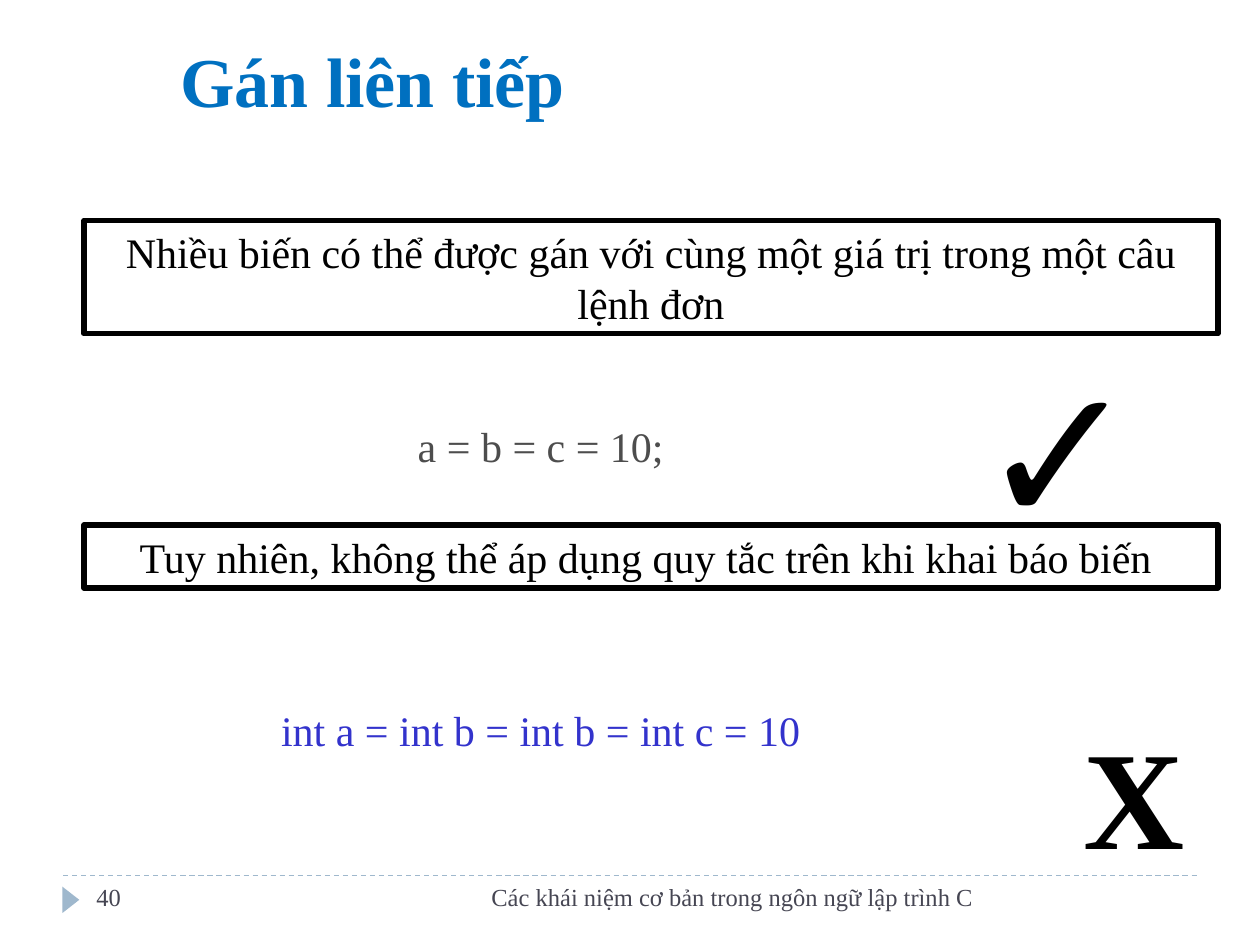
from lxml.etree import SubElement
from pptx import Presentation
from pptx.dml.color import RGBColor
from pptx.enum.dml import MSO_LINE
from pptx.enum.shapes import MSO_CONNECTOR, MSO_SHAPE
from pptx.enum.text import MSO_ANCHOR, PP_ALIGN
from pptx.oxml.ns import qn
from pptx.util import Inches, Pt

COLUMNS, ROWS = 120, 90
BLACK = RGBColor(0x00, 0x00, 0x00)
TITLE_BLUE = RGBColor(0x00, 0x70, 0xC0)
CODE_GREY = RGBColor(0x4D, 0x4D, 0x4D)
CODE_BLUE = RGBColor(0x33, 0x33, 0xCC)
FOOTER_GREY = RGBColor(0x46, 0x46, 0x53)
ACCENT = RGBColor(0x9F, 0xB8, 0xCD)
SERIF = "Times New Roman"

presentation = Presentation()
presentation.slide_width = Inches(10)
presentation.slide_height = Inches(7.5)
COLUMN = presentation.slide_width / COLUMNS
ROW = presentation.slide_height / ROWS


def on_grid(left, top, width, height):
    return [round(left * COLUMN), round(top * ROW), round(width * COLUMN), round(height * ROW)]


def write(holder, text, size, color, align=PP_ALIGN.LEFT, font=SERIF,
          bold=False, wrap=True, anchor=MSO_ANCHOR.TOP):
    frame = holder.text_frame
    frame.text = text
    frame.word_wrap = wrap
    frame.vertical_anchor = anchor
    paragraph = frame.paragraphs[0]
    paragraph.alignment = align
    for run in paragraph.runs:
        run.font.name = font
        run.font.size = Pt(size)
        run.font.bold = bold
        run.font.color.rgb = color


def add_text(slide, box, text, size, color, **style):
    write(slide.shapes.add_textbox(*on_grid(*box)), text, size, color, **style)


def add_title(slide, box, text):
    add_text(slide, box, text, 40, TITLE_BLUE, bold=True, anchor=MSO_ANCHOR.BOTTOM)


def add_rule_box(slide, box, text):
    frame = slide.shapes.add_shape(MSO_SHAPE.RECTANGLE, *on_grid(*box))
    frame.shadow.inherit = False
    frame.fill.background()
    frame.line.color.rgb = BLACK
    frame.line.width = Pt(3)
    write(frame, text, 24, BLACK, align=PP_ALIGN.CENTER)


def add_code(slide, box, text, color):
    add_text(slide, box, text, 24, color, align=PP_ALIGN.CENTER, wrap=False)


def add_footer(slide, box, number, text):
    left, top, width, height = box
    start_x, start_y, span, _ = on_grid(*box)
    divider = slide.shapes.add_connector(
        MSO_CONNECTOR.STRAIGHT, start_x, start_y, start_x + span, start_y)
    divider.line.color.rgb = ACCENT
    divider.line.width = Pt(0.75)
    divider.line.dash_style = MSO_LINE.DASH
    SubElement(divider.element.spPr, qn("a:effectLst"))

    marker = slide.shapes.add_shape(
        MSO_SHAPE.ISOSCELES_TRIANGLE, *on_grid(left - 0.5, top + 1.5, 2.5, 1.6))
    marker.rotation = 90
    marker.shadow.inherit = False
    marker.fill.solid()
    marker.fill.fore_color.rgb = ACCENT
    marker.line.fill.background()

    add_text(slide, (left + 2, top, 26, height), number, 14, FOOTER_GREY)
    add_text(slide, (left + 32, top, 55.9, height), text, 14, FOOTER_GREY,
             align=PP_ALIGN.RIGHT)


def main():
    slide = presentation.slides.add_slide(presentation.slide_layouts[6])
    add_title(slide, (16, 3, 57.4, 9.2), "Gán liên tiếp")
    add_rule_box(slide, (8, 21, 108, 10.8),
                 "Nhiều biến có thể được gán với cùng một giá trị trong một câu lệnh đơn")
    add_code(slide, (14, 39.5, 75, 8.5), "a = b = c = 10;", CODE_GREY)
    add_text(slide, (92, 31, 19.3, 23.3), "✓", 110, BLACK, font="Arial")
    add_rule_box(slide, (8, 50, 108, 6),
                 "Tuy nhiên, không thể áp dụng quy tắc trên khi khai báo biến ")
    add_code(slide, (8, 66.5, 87, 8.5), "int a = int b = int b = int c = 10", CODE_BLUE)
    add_text(slide, (102, 67, 10, 8), "X", 80, BLACK,
             align=PP_ALIGN.CENTER, bold=True, wrap=False)
    add_footer(slide, (6, 83.4, 108, 4.8), "40",
               "Các khái niệm cơ bản trong ngôn ngữ lập trình C")
    presentation.save("out.pptx")


if __name__ == "__main__":
    main()
